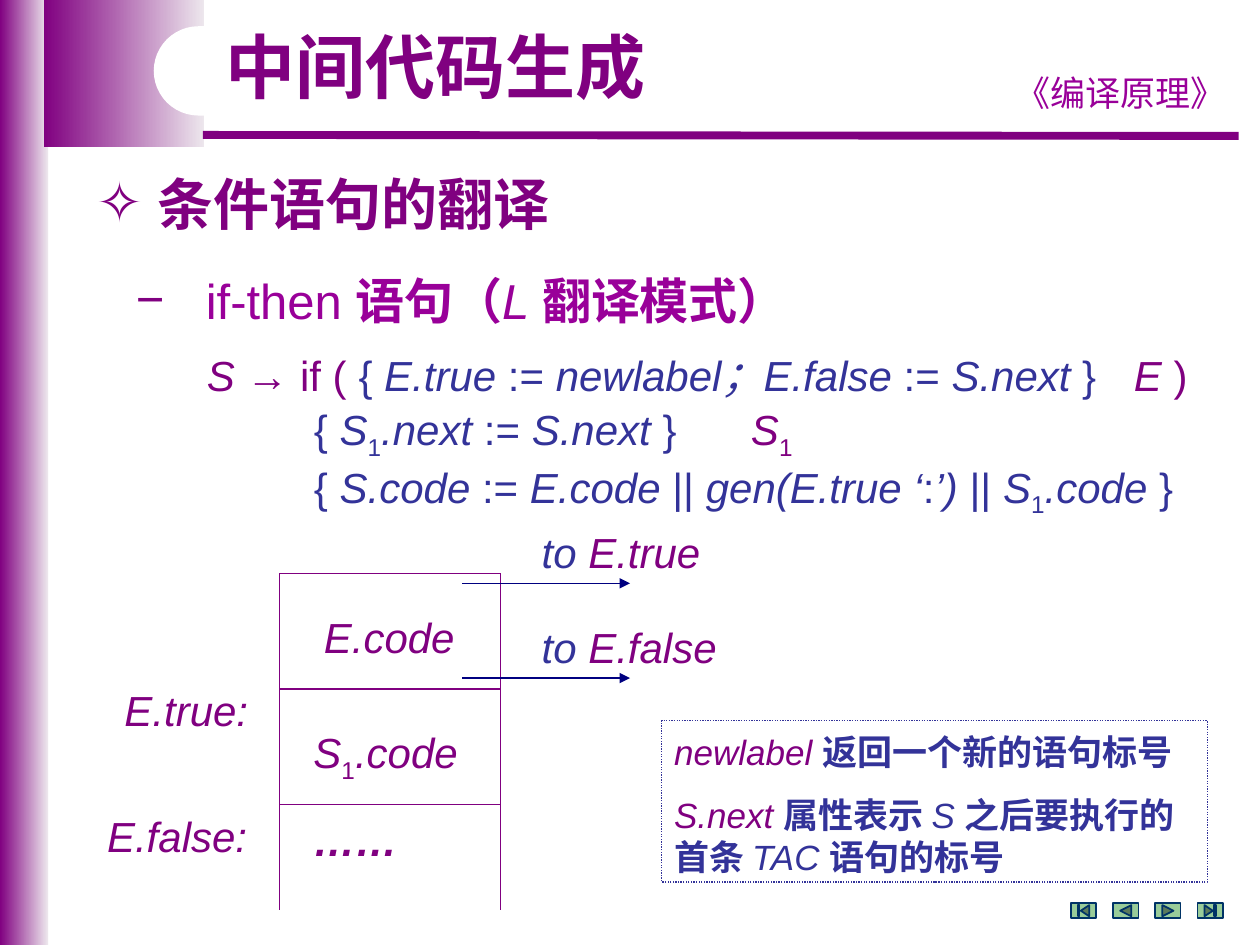
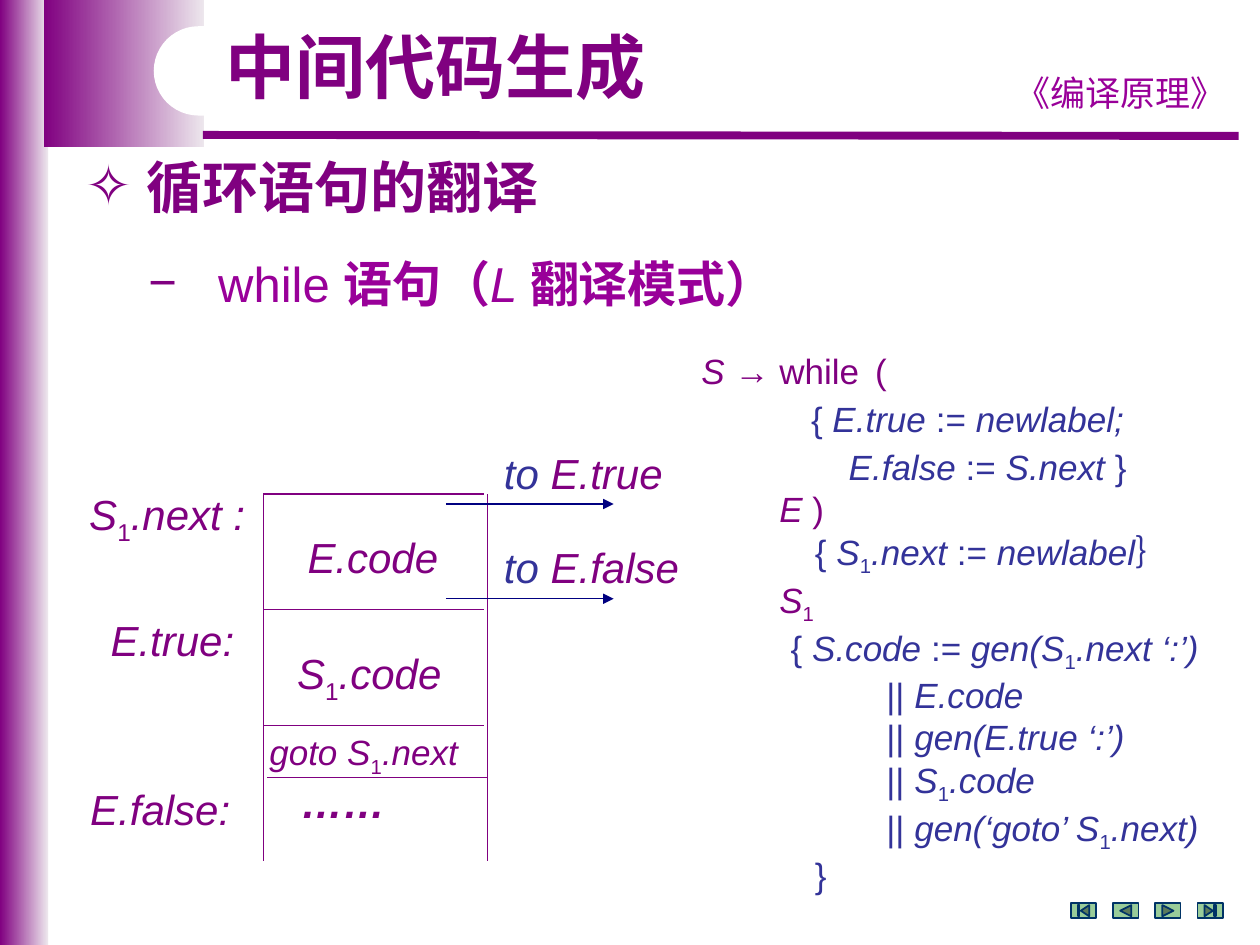
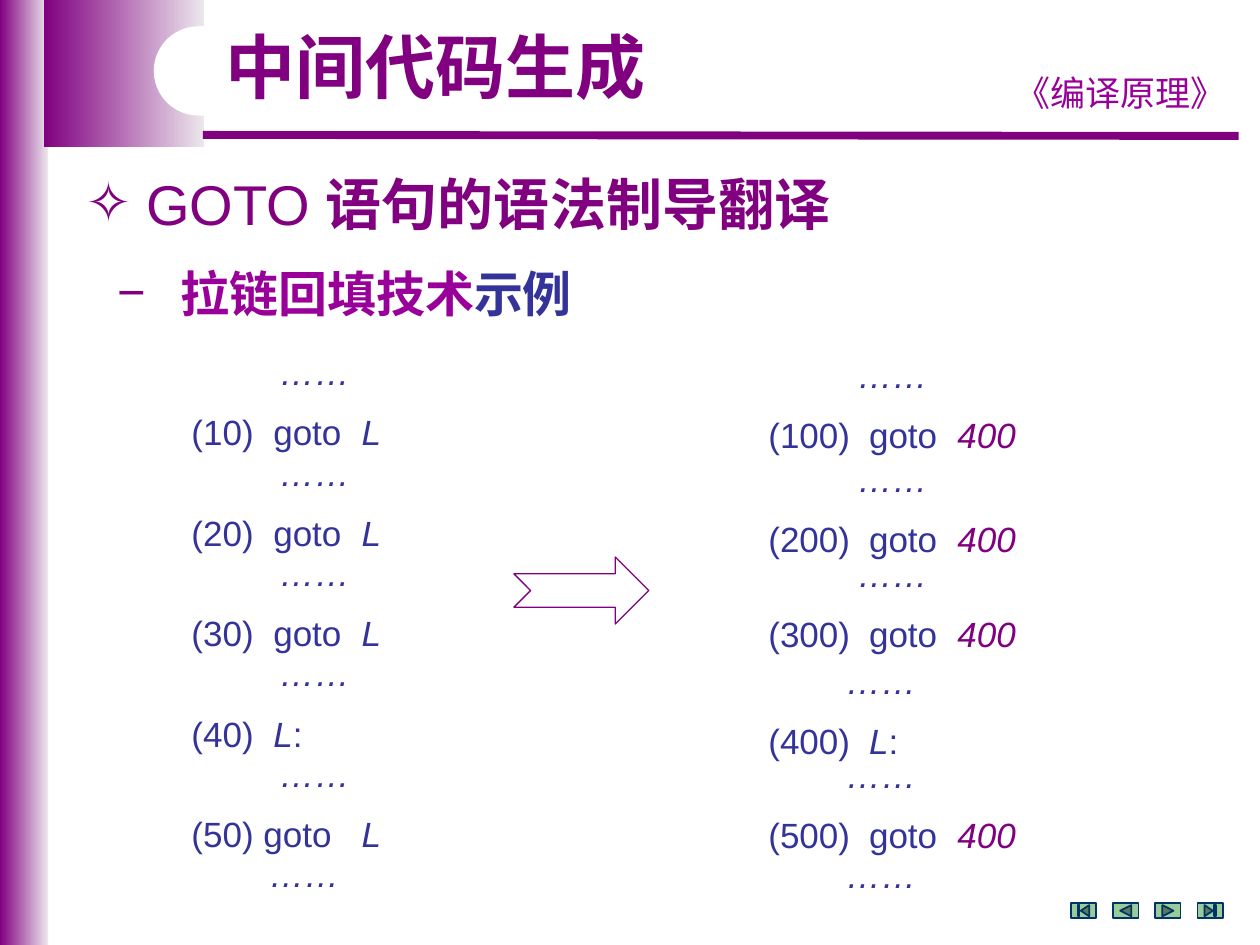
from pptx import Presentation
from pptx.dml.color import RGBColor
from pptx.enum.dml import MSO_LINE
from pptx.enum.shapes import MSO_CONNECTOR, MSO_SHAPE
from pptx.enum.text import MSO_ANCHOR, MSO_AUTO_SIZE, PP_ALIGN
from pptx.oxml.ns import qn
from pptx.util import Cm, Pt
from lxml.etree import SubElement

HUES = {
    "p": "800080", "m": "990099", "n": "333399",
    "pale": "EDE7ED", "white": "FFFFFF", "arrow": "000080",
    "key": "99CC99", "edge": "003366",
}
LATIN, HAN = "Arial", "Noto Sans CJK SC"


def hue(name):
    return RGBColor.from_string(HUES[name])


def cm(*sizes):
    return [Cm(size) for size in sizes]


# Text: "<pi>" starts a run; p, m, n give its colour, i italic, b bold, _ subscript
def fill_runs(para, markup, size, face=LATIN):
    parts = [part.split(">", 1) for part in markup.split("<")[1:]]
    for flags, words in parts:
        run = para.add_run()
        run.text = words
        font = run.font
        font.name, font.size = face, Pt(size)
        font.bold, font.italic = "b" in flags, "i" in flags
        font.color.rgb = hue(flags[0])
        props = run._r.get_or_add_rPr()
        if "_" in flags:
            props.set("baseline", "-25000")
        if any(char > "\u2fff" for char in words):
            SubElement(props, qn("a:ea")).set("typeface", HAN)


def set_tabs(para, stops):
    tabs = SubElement(para._p.get_or_add_pPr(), qn("a:tabLst"))
    for stop in stops:
        tab = SubElement(tabs, qn("a:tab"))
        tab.set("pos", str(Cm(stop)))
        tab.set("algn", "l")


def set_bullet(para, mark, indent):
    props = para._p.get_or_add_pPr()
    props.set("marL", str(Cm(indent)))
    props.set("indent", str(-Cm(indent)))
    tint = SubElement(props, qn("a:buClr"))
    SubElement(tint, qn("a:srgbClr")).set("val", HUES["p"])
    SubElement(props, qn("a:buFont")).set("typeface", LATIN)
    SubElement(props, qn("a:buChar")).set("char", mark)


def add_box(slide, place, wrap=True):
    frame = slide.shapes.add_textbox(*cm(*place)).text_frame
    frame.word_wrap = wrap
    return frame


def add_label(slide, x, y, wide, markup, size=24, wrap=False):
    frame = add_box(slide, (x, y, wide, 1.27), wrap)
    fill_runs(frame.paragraphs[0], markup, size)


def add_point(slide, x, y, mark, markup, size, indent):
    para = add_box(slide, (x, y, 22.5, 1.5)).paragraphs[0]
    set_bullet(para, mark, indent)
    para.line_spacing = Pt(round(size * 1.3, 1))
    fill_runs(para, markup, size)


def add_topic(slide, x, y, markup):
    add_point(slide, x, y, "✧", markup, 32, 1.23)


def add_dash(slide, x, y, markup, indent=1.41):
    add_point(slide, x, y, "−", markup, 28, indent)


def add_lines(slide, place, lines, size, stops, pitch=1.2):
    """Each line is (indent, space before, markup); subscripts need more room."""
    frame = add_box(slide, place)
    for count, (indent, gap, markup) in enumerate(lines):
        para = frame.add_paragraph() if count else frame.paragraphs[0]
        para._p.get_or_add_pPr().set("marL", str(Cm(indent)))
        if "\t" in markup:
            set_tabs(para, stops)
        para.line_spacing = Pt(round(size * (1.37 if "_>" in markup else pitch), 1))
        if gap:
            para.space_before = Pt(gap)
        fill_runs(para, markup, size)


# Shapes and lines
def add_form(slide, kind, place, fill=None, edge=None, width=0.75):
    form = slide.shapes.add_shape(kind, *cm(*place))
    form.shadow.inherit = False
    if fill:
        form.fill.solid()
        form.fill.fore_color.rgb = hue(fill)
    else:
        form.fill.background()
    if edge:
        form.line.color.rgb = hue(edge)
        form.line.width = Pt(width)
    else:
        form.line.fill.background()
    return form


def add_rule(slide, ends, tint="p", width=0.75, head=False):
    rule = slide.shapes.add_connector(MSO_CONNECTOR.STRAIGHT, *cm(*ends))
    rule.line.color.rgb = hue(tint)
    rule.line.width = Pt(width)
    props = rule.element.spPr
    if head:
        SubElement(props.find(qn("a:ln")), qn("a:tailEnd")).set("type", "triangle")
    SubElement(props, qn("a:effectLst"))


def add_fade(slide, place):
    fill = add_form(slide, MSO_SHAPE.RECTANGLE, place).fill
    fill.gradient()
    fill.gradient_angle = 0
    for stop, name in zip(fill.gradient_stops, ("p", "pale")):
        stop.color.rgb = hue(name)


# Shared frame: bands, title, course name, buttons
def add_page(deck):
    slide = deck.slides.add_slide(deck.slide_layouts[5])
    add_fade(slide, (0, 0, 0.97, 19.05))
    add_fade(slide, (0.89, 0, 3.23, 2.97))
    add_rule(slide, (4.09, 2.72, 24.97, 2.74), width=4.5)
    course = add_box(slide, (20.09, 1.32, 5, 1.09)).paragraphs[0]
    course.alignment = PP_ALIGN.CENTER
    fill_runs(course, "<m>《编译原理》", 20, HAN)
    knob = add_form(slide, MSO_SHAPE.ROUNDED_RECTANGLE, (3.1, 0.53, 9.19, 1.8), "white")
    knob.adjustments[0] = 0.5

    title = slide.shapes.title
    title.left, title.top, title.width, title.height = cm(4.29, 0.53, 9.04, 1.78)
    frame = title.text_frame
    frame.auto_size = MSO_AUTO_SIZE.NONE
    frame.vertical_anchor = MSO_ANCHOR.MIDDLE
    para = frame.paragraphs[0]
    para.alignment = PP_ALIGN.LEFT
    para.line_spacing = 0.9
    fill_runs(para, "<pb>中间代码生成", 40)
    title.element.getparent().append(title.element)  # above the white knob

    keys = (MSO_SHAPE.ACTION_BUTTON_BEGINNING, MSO_SHAPE.ACTION_BUTTON_BACK_OR_PREVIOUS,
            MSO_SHAPE.ACTION_BUTTON_FORWARD_OR_NEXT, MSO_SHAPE.ACTION_BUTTON_END)
    for count, key in enumerate(keys):
        add_form(slide, key, (21.59 + 0.85 * count, 18.21, 0.51, 0.3), "key", "edge", 1)
    return slide


# Code layout diagram: two walls, three rules, two exits
def add_tower(slide, x, y, foot, wide, exit_x):
    for wall in (x, x + wide):
        add_rule(slide, (wall, y, wall, foot))
    for step in range(3):
        level = y + 2.33 * step
        add_rule(slide, (x, level, x + 4.45, level))
    add_label(slide, x + 0.64, y + 0.64, 3.17, "<pi>E.code")
    add_label(slide, x + 0.43, y + 2.97, 3.48, "<pi>S<p_>1<pi>.code")
    for step, (name, span) in enumerate((("true", 3.73), ("false", 4.06))):
        level = y + 0.2 + 1.91 * step
        add_rule(slide, (x + 3.68, level, x + 7.06, level), "arrow", head=True)
        add_label(slide, exit_x, level - 1.27, span, f"<ni>to <pi>E.{name}")


def add_if(deck):
    slide = add_page(deck)
    add_topic(slide, 1.7, 3.18, "<pb>条件语句的翻译")
    add_dash(slide, 2.49, 5.23, "<m>if-then <mb>语句（<mi>L <mb>翻译模式）")
    add_lines(slide, (3.92, 6.92, 21, 3.9), (
        (0, 0, "<pi>S <p>→ if ( <n>{ <ni>E.true <n>:= <ni>newlabel；E.false "
               "<n>:= <ni>S.next<n> }\t<pi>E <p>)"),
        (0, 2, "<n>\t{ <ni>S<n_>1<ni>.next <n>:= <ni>S.next<n> }\t<pi>S<p_>1"),
        (0, 0, "<n>\t{ <ni>S.code <n>:= <ni>E.code <n>||<ni> gen(E.true ‘<n>:<ni>’) "
               "<n>||<ni> S<n_>1<ni>.code<n> }"),
    ), 24, (2.16, 10.97, 18.69))

    add_tower(slide, 5.64, 11.56, 18.34, 4.45, 10.67)
    add_label(slide, 6.07, 16.29, 2.21, "<pbi>……")
    add_label(slide, 2.26, 13.67, 3.02, "<pi>E.true:")
    add_label(slide, 1.91, 16.21, 3.35, "<pi>E.false:")

    # Note
    note = add_form(slide, MSO_SHAPE.RECTANGLE, (13.34, 14.53, 11, 3.25), edge="n")
    note.line.dash_style = MSO_LINE.ROUND_DOT
    frame = note.text_frame
    frame.word_wrap = True
    frame.vertical_anchor = MSO_ANCHOR.TOP
    frame.margin_top = Cm(0.2)
    first, last = frame.paragraphs[0], frame.add_paragraph()
    last.space_before = Pt(12)
    for para, markup in (
        (first, "<pi>newlabel <nb>返回一个新的语句标号"),
        (last, "<pi>S.next <nb>属性表示 <ni>S <nb>之后要执行的首条 <ni>TAC <nb>语句的标号"),
    ):
        para.alignment = PP_ALIGN.LEFT
        para.line_spacing = Pt(24)
        fill_runs(para, markup, 20)


def add_while(deck):
    slide = add_page(deck)
    add_topic(slide, 1.47, 2.84, "<pb>循环语句的翻译")
    add_dash(slide, 2.74, 4.88, "<m>while <mb>语句（<mi>L <mb>翻译模式）")

    add_tower(slide, 5.31, 9.96, 17.35, 4.52, 9.91)
    add_rule(slide, (5.38, 15.67, 9.83, 15.67))
    add_label(slide, 5.18, 14.6, 4.95, "<pi>goto S<p_>1<pi>.next", 20, True)
    add_label(slide, 5.82, 15.53, 2.21, "<pbi>……")
    add_label(slide, 1.55, 9.73, 3.73, "<pi>S<p_>1<pi>.next :")
    add_label(slide, 1.98, 12.27, 3, "<pi>E.true:")
    add_label(slide, 1.57, 15.67, 3.33, "<pi>E.false:")

    add_lines(slide, (13.89, 6.93, 11.13, 10.5), (
        (0, 0, "<pi>S <p>→ while\t("),
        (2.21, 3.4, "<n>{ <ni>E.true <n>:= <ni>newlabel;"),
        (2.97, 3.4, "<ni>E.false <n>:= <ni>S.next<n> }"),
        (1.57, 0, "<pi>E<p> )"),
        (2.29, 0, "<n>{ <ni>S<n_>1<ni>.next <n>:= <ni>newlabel<n>｝"),
        (1.57, 0, "<pi>S<p_>1"),
        (1.8, 0, "<n>{ <ni>S.code <n>:=<ni> gen(S<n_>1<ni>.next ‘:’)"),
        (3.73, 0, "<n>|| <ni>E.code"),
        (3.73, 0, "<n>||<ni> gen(E.true ‘:’)"),
        (3.73, 0, "<n>|| <ni>S<n_>1<ni>.code"),
        (3.73, 0, "<n>||<ni> gen(‘goto’ S<n_>1<ni>.next)"),
        (2.29, 0, "<n>}"),
    ), 20, (3.5,))


def add_goto(deck):
    slide = add_page(deck)
    add_topic(slide, 1.47, 3.18, "<p>GOTO <pb>语句的语法制导翻译")
    add_dash(slide, 2.11, 5.08, "<mb>拉链回填技术<nb>示例", 1.28)
    dots = "<ni>……"

    # Chain before filling
    chain = []
    for line in (10, 20, 30, 40, 50):
        code = "<ni>L<n>:" if line == 40 else "<n>goto\t<ni>L"
        space = " " if line == 50 else "\t"
        chain += [(1.78, 0, dots), (0, 11.4, f"<n>({line}){space}{code}")]
    chain.append((1.57, 0, dots))
    add_lines(slide, (3.61, 6.98, 5.92, 11.28), chain, 20, (1.65, 3.43), 1.15)

    add_form(slide, MSO_SHAPE.NOTCHED_RIGHT_ARROW, (10.36, 11.23, 2.72, 1.35), edge="p")

    # Chain after filling
    for line, y in zip(range(100, 600, 100), (7.03, 9.13, 11.04, 13.2, 15.1)):
        code = "<ni>L<n>:" if line == 400 else "<n>goto\t<pi>400"
        indent = 1.8 if line < 400 else 1.57
        rows = [(indent, 0, dots), (0, 11.4, f"<n>({line})\t{code}")]
        if line == 500:
            rows.append((indent, 0, dots))
        add_lines(slide, (15.24, y, 5.92, 2.29), rows, 20, (2.03, 3.81), 1.15)


def main():
    deck = Presentation()
    deck.slide_width, deck.slide_height = cm(25.4, 19.05)
    add_if(deck)
    add_while(deck)
    add_goto(deck)
    deck.save("out.pptx")


if __name__ == "__main__":
    main()
